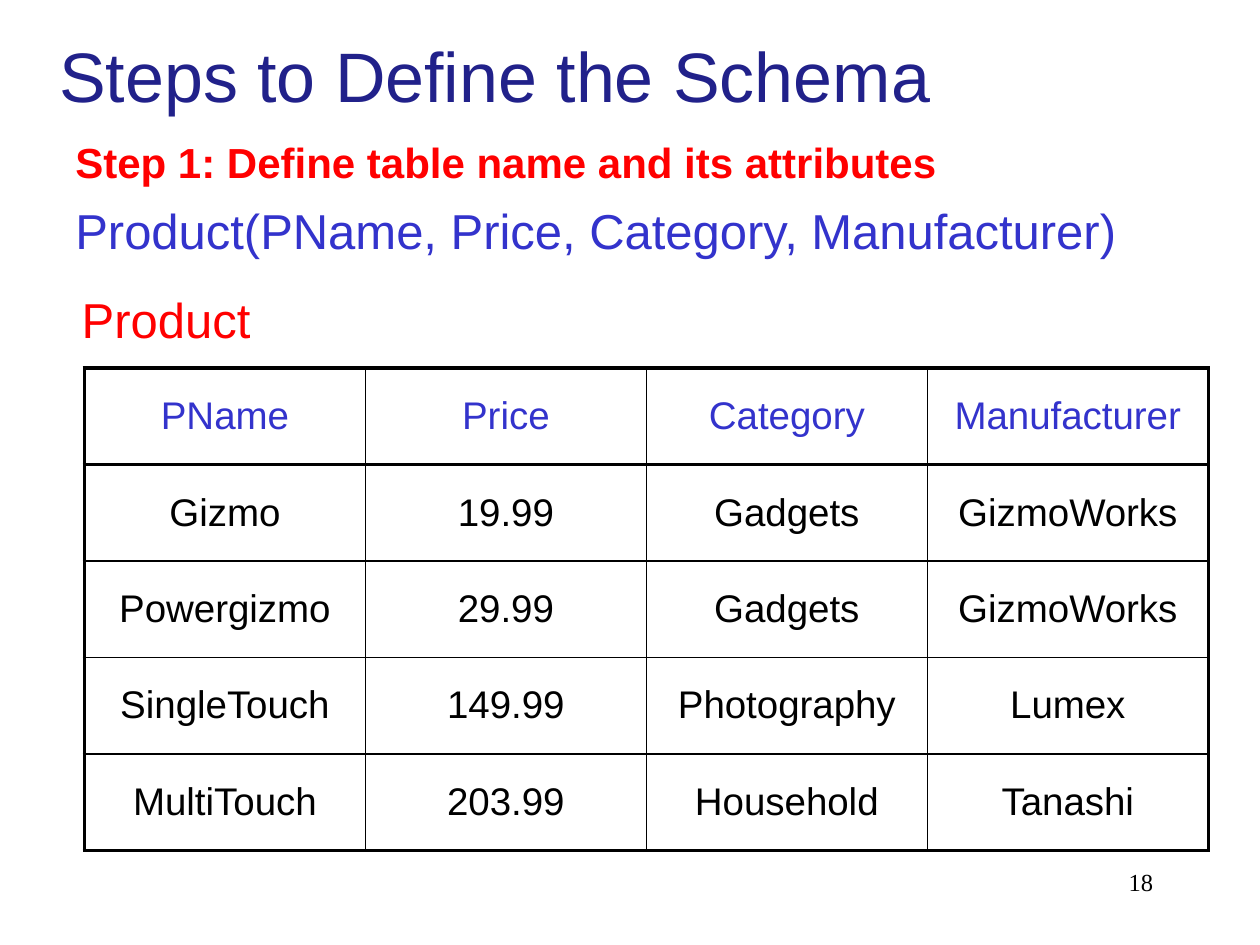
import pptx
import pptx.util
import pptx.dml.color
import pptx.enum.text
import pptx.oxml
import pptx.oxml.ns
from pptx.util import Inches

ALIGN = pptx.enum.text.PP_ALIGN
ANCHOR = pptx.enum.text.MSO_ANCHOR
AUTO_SIZE = pptx.enum.text.MSO_AUTO_SIZE

NAVY, BLUE, RED, BLACK = "21218A", "3333CC", "FF0000", "000000"
THICK, THIN = 2.25, 1

PRODUCTS = [
    ["PName", "Price", "Category", "Manufacturer"],
    ["Gizmo", "19.99", "Gadgets", "GizmoWorks"],
    ["Powergizmo", "29.99", "Gadgets", "GizmoWorks"],
    ["SingleTouch", "149.99", "Photography", "Lumex"],
    ["MultiTouch", "203.99", "Household", "Tanashi"],
]


def rgb(color):
    return pptx.dml.color.RGBColor.from_string(color)


def format_paragraph(p, text, size, color, align=ALIGN.LEFT, font="Arial", bold=False):
    p.text = text
    p.alignment = align
    p.font.name = font
    p.font.size = pptx.util.Pt(size)
    p.font.bold = bold
    p.font.color.rgb = rgb(color)


def add_text_box(slide, left, top, width, height, auto_size=AUTO_SIZE.SHAPE_TO_FIT_TEXT):
    s = slide.shapes.add_textbox(left, top, width, height)
    tf = s.text_frame
    tf.word_wrap = True
    tf.auto_size = auto_size
    return tf


def add_title(slide, left, top, width, height):
    s = slide.shapes.title
    s.left, s.top, s.width, s.height = left, top, width, height
    tf = s.text_frame
    tf.vertical_anchor = ANCHOR.MIDDLE
    tf.auto_size = AUTO_SIZE.NONE
    format_paragraph(tf.paragraphs[0], "Steps to Define the Schema", 40, NAVY)


def add_step(slide, left, top, width, height):
    tf = add_text_box(slide, left, top, width, height)
    heading, schema = tf.paragraphs[0], tf.add_paragraph()
    format_paragraph(heading, "Step 1: Define table name and its attributes", 24, RED, bold=True)
    format_paragraph(schema, "Product(PName, Price, Category, Manufacturer)", 28, BLUE)
    heading.line_spacing = schema.line_spacing = 0.9
    schema.space_before = pptx.util.Pt(11)


def set_border(cell, side, width):
    cell._tc.get_or_add_tcPr().append(pptx.oxml.parse_xml(
        f'<a:ln{side} {pptx.oxml.ns.nsdecls("a")} w="{pptx.util.Pt(width)}">'
        f'<a:solidFill><a:srgbClr val="{BLACK}"/></a:solidFill></a:ln{side}>'))


def add_product_table(slide, left, top, width, height):
    rows, cols = len(PRODUCTS), len(PRODUCTS[0])
    table = slide.shapes.add_table(rows, cols, left, top, width, height).table
    table.first_row = table.horz_banding = False
    for i, values in enumerate(PRODUCTS):
        for j, value in enumerate(values):
            cell = table.cell(i, j)
            cell.vertical_anchor = ANCHOR.MIDDLE
            # Thick outer frame and rule below the header
            thick = {"L": j == 0, "R": j == cols - 1,
                     "T": i <= 1, "B": i in (0, rows - 1)}
            for side, is_thick in thick.items():
                set_border(cell, side, THICK if is_thick else THIN)
            cell.fill.background()
            format_paragraph(cell.text_frame.paragraphs[0], value, 22,
                             BLUE if i == 0 else BLACK, ALIGN.CENTER)


def add_table_name(slide, left, top, width, height):
    tf = add_text_box(slide, left, top, width, height)
    format_paragraph(tf.paragraphs[0], "Product", 28, RED)


def add_page_number(slide, left, top, width, height):
    tf = add_text_box(slide, left, top, width, height, AUTO_SIZE.NONE)
    format_paragraph(tf.paragraphs[0], "18", 14, BLACK, ALIGN.RIGHT, "Times New Roman")


def main():
    prs = pptx.Presentation()
    prs.slide_width, prs.slide_height = Inches(10), Inches(7.5)
    slide = prs.slides.add_slide(prs.slide_layouts[5])  # Title Only

    add_title(slide, Inches(0.37), Inches(-0.03), Inches(9.13), Inches(1.25))
    add_product_table(slide, Inches(0.67), Inches(2.92), Inches(8.92), Inches(3.83))
    add_table_name(slide, Inches(0.55), Inches(2.25), Inches(2.12), Inches(0.57))
    add_step(slide, Inches(0.5), Inches(1.08), Inches(9.13), Inches(1.06))
    add_page_number(slide, Inches(7.17), Inches(6.83), Inches(2.08), Inches(0.5))

    prs.save("out.pptx")


if __name__ == "__main__":
    main()
